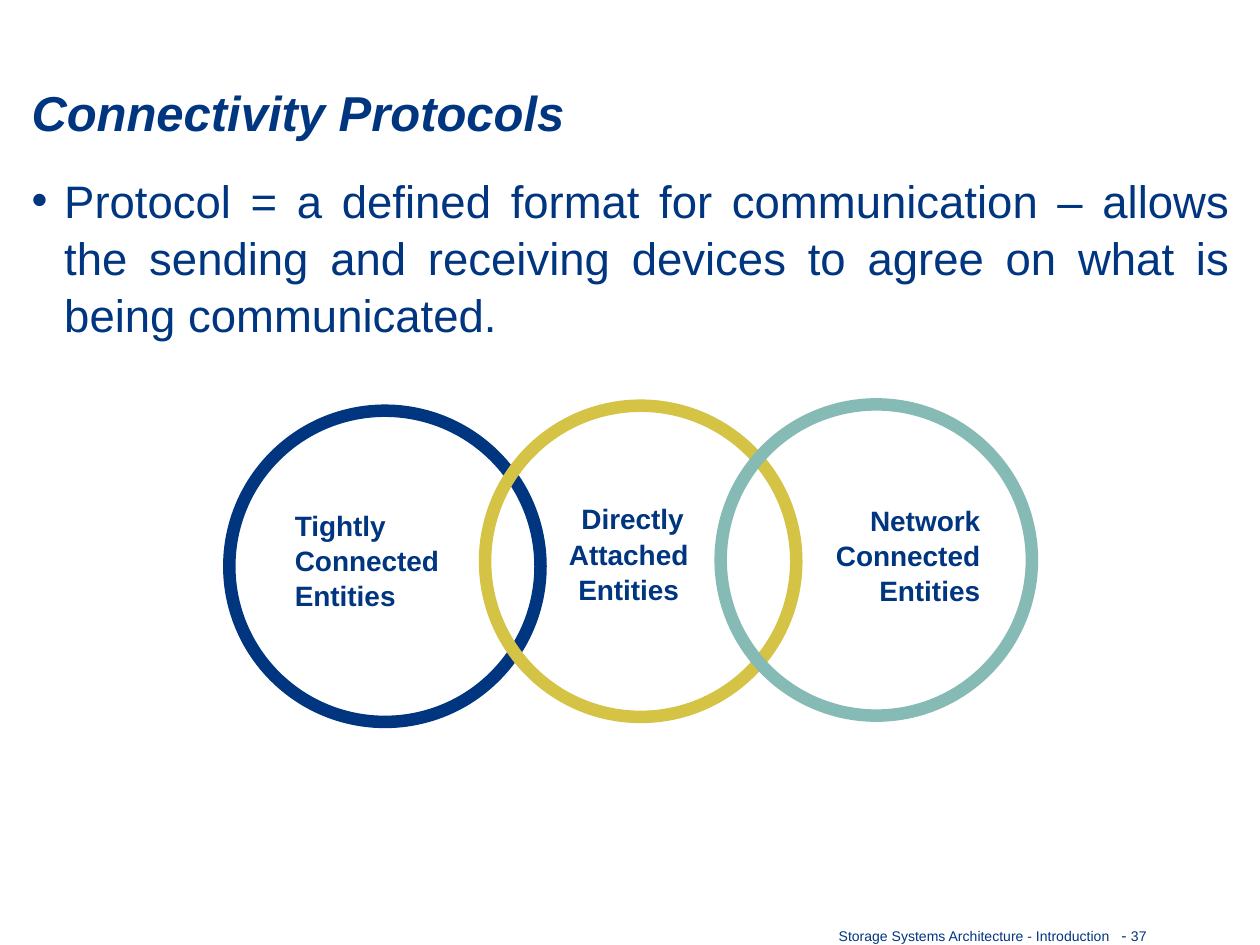
from lxml import etree
from pptx import Presentation
from pptx.dml.color import RGBColor
from pptx.enum import shapes, text
from pptx.oxml import ns
from pptx.util import Inches, Pt

NAVY = RGBColor(0x00, 0x35, 0x80)
GOLD = RGBColor(0xD4, 0xC3, 0x44)
TEAL = RGBColor(0x86, 0xBA, 0xB5)
LEFT, CENTER, RIGHT, JUSTIFY = (text.PP_ALIGN.LEFT, text.PP_ALIGN.CENTER,
                                text.PP_ALIGN.RIGHT, text.PP_ALIGN.JUSTIFY)

TITLE = "Connectivity Protocols"
DEFINITION = ("Protocol = a defined format for communication – allows the sending "
              "and receiving devices to agree on what is being communicated.")
FOOTER = "Storage Systems Architecture - Introduction"
PAGE = "37"

RING_SIZE, RING_WIDTH = 2.47, 7.13
LABEL_WIDTH, LABEL_HEIGHT = 1.32, 0.8
# ring left, ring top, colour, label, label left, label top, alignment
ENTITIES = [
    (1.82, 3.26, NAVY, "Tightly\nConnected\nEntities", 2.34, 4.02, LEFT),
    (3.85, 3.22, GOLD, " Directly\nAttached\nEntities", 4.33, 3.97, CENTER),
    (5.72, 3.21, TEAL, "Network\nConnected\nEntities", 6.46, 3.98, RIGHT),
]


def write(paragraph, content, size, bold=False, italic=False):
    """Append content to the paragraph, with a line break at each newline."""
    for number, line in enumerate(content.split("\n")):
        if number:
            paragraph.add_line_break()
            line_break = paragraph._p[-1]
            etree.SubElement(line_break, ns.qn("a:rPr"), sz=str(size * 100))
        run = paragraph.add_run()
        run.text = line
        font = run.font
        font.name, font.size = "Arial", Pt(size)
        font.bold, font.italic = bold, italic
        font.color.rgb = NAVY


def prepare(box, align=LEFT, anchor=text.MSO_ANCHOR.TOP, spacing=1.0):
    """Format the frame without insets and return its first paragraph."""
    frame = box.text_frame
    frame.word_wrap = True
    frame.auto_size = text.MSO_AUTO_SIZE.NONE
    frame.vertical_anchor = anchor
    frame.margin_left = frame.margin_right = 0
    frame.margin_top = frame.margin_bottom = 0
    paragraph = frame.paragraphs[0]
    paragraph.alignment = align
    paragraph.line_spacing = spacing
    return paragraph


def add_bullet(paragraph, indent):
    properties = paragraph._p.get_or_add_pPr()
    properties.set("marL", str(Inches(indent)))
    properties.set("indent", str(-Inches(indent)))
    colour = etree.SubElement(properties, ns.qn("a:buClr"))
    etree.SubElement(colour, ns.qn("a:srgbClr"), val=str(NAVY))
    etree.SubElement(properties, ns.qn("a:buFont"), typeface="Arial")
    etree.SubElement(properties, ns.qn("a:buChar"), char="•")


def add_box(slide, left, top, width, height):
    return slide.shapes.add_textbox(Inches(left), Inches(top),
                                    Inches(width), Inches(height))


def add_ring(slide, left, top, colour):
    ring = slide.shapes.add_shape(shapes.MSO_SHAPE.OVAL, Inches(left), Inches(top),
                                  Inches(RING_SIZE), Inches(RING_SIZE))
    ring.shadow.inherit = False
    ring.fill.background()
    ring.line.color.rgb = colour
    ring.line.width = Pt(RING_WIDTH)


def main():
    deck = Presentation()
    deck.slide_width, deck.slide_height = Inches(10), Inches(7.5)
    slide = deck.slides.add_slide(deck.slide_layouts[5])

    title = slide.shapes.title
    title.left, title.top = Inches(0.25), Inches(0.64)
    title.width, title.height = Inches(9.52), Inches(0.5)
    write(prepare(title, anchor=text.MSO_ANCHOR.MIDDLE), TITLE, 28,
          bold=True, italic=True)

    definition = prepare(add_box(slide, 0.25, 1.35, 9.52, 1.4), JUSTIFY, spacing=1.05)
    add_bullet(definition, 0.26)
    write(definition, DEFINITION, 26)

    for _, _, _, label, left, top, align in ENTITIES:
        box = add_box(slide, left, top, LABEL_WIDTH, LABEL_HEIGHT)
        write(prepare(box, align, spacing=1.05), label, 16, bold=True)
    for left, top, colour, *_ in ENTITIES:
        add_ring(slide, left, top, colour)

    middle = text.MSO_ANCHOR.MIDDLE
    write(prepare(add_box(slide, 4.75, 7.3, 4.06, 0.25), RIGHT, middle), FOOTER, 8)
    page = prepare(add_box(slide, 8.9, 7.3, 1, 0.25), anchor=middle)
    write(page, "- ", 9)
    write(page, PAGE, 8)

    deck.save("out.pptx")


if __name__ == "__main__":
    main()
